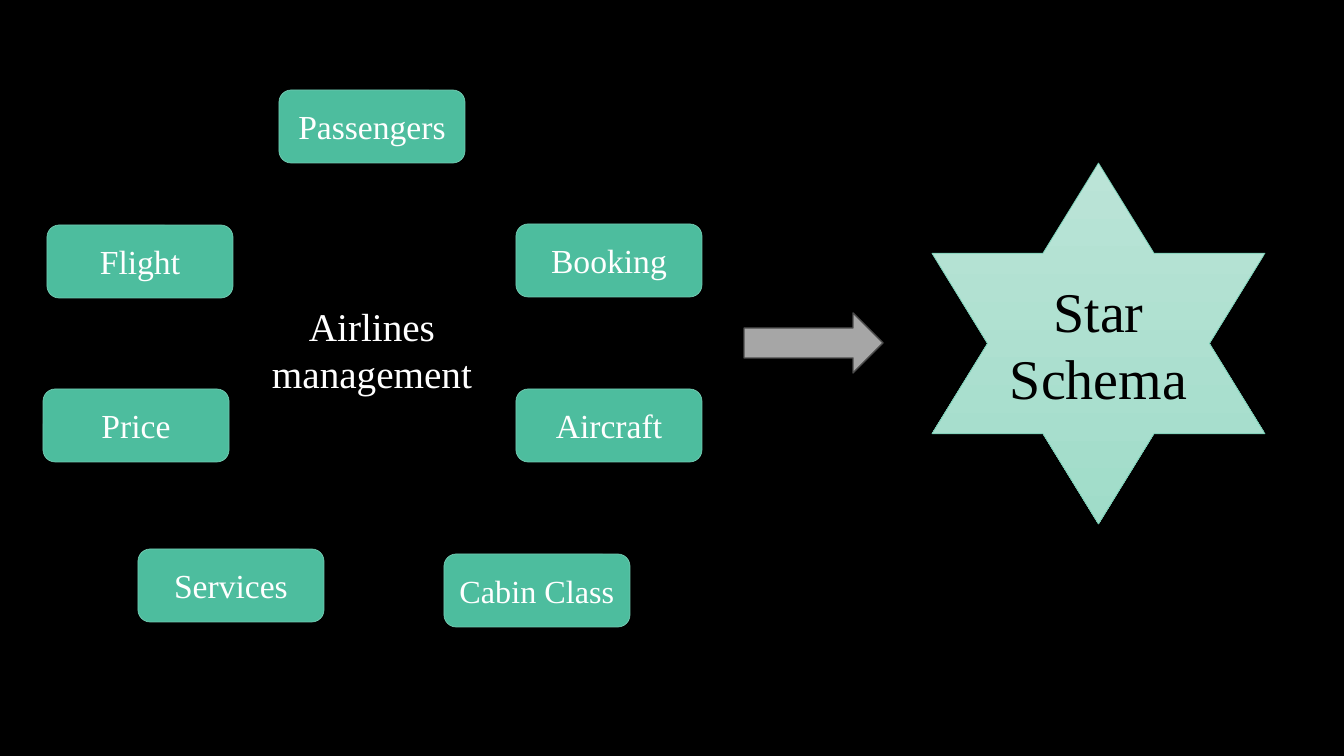
from pptx import Presentation
from pptx import util as u
from pptx.dml.color import RGBColor
from pptx.enum import shapes, text

PX = 914400 / 100.8
FONT = "Times New Roman"
COLORS = {
    "background": "000000",
    "white": "FFFFFF",
    "black": "000000",
    "entity": "4DBD9E",
    "edge": "73CBB2",
    "arrow": "A6A6A6",
    "arrow_edge": "4B4B4B",
    "star_top": "BBE4D7",
    "star_bottom": "A0DCC9",
}
KIND = shapes.MSO_SHAPE


def rgb(name):
    return RGBColor.from_string(COLORS[name])


def write(shape, words, size, color, anchor):
    """Put centred, wrapping text into a shape."""
    frame = shape.text_frame
    frame.text = words
    frame.word_wrap = True
    frame.vertical_anchor = anchor
    paragraph = frame.paragraphs[0]
    paragraph.alignment = text.PP_ALIGN.CENTER
    font = paragraph.runs[0].font
    font.name = FONT
    font.size = u.Pt(size)
    font.color.rgb = rgb(color)


prs = Presentation()
prs.slide_width, prs.slide_height = round(1344 * PX), round(756 * PX)
slide = prs.slides.add_slide(prs.slide_layouts[6])
slide.background.fill.solid()
slide.background.fill.fore_color.rgb = rgb("background")

# Subject in the middle of the ring
subject = slide.shapes.add_textbox(*(round(n * PX) for n in (240, 297, 264, 105)))
write(subject, "Airlines management", 28, "white", text.MSO_ANCHOR.TOP)

# Entities, arrow and star: kind, box in px, fill, edge, edge width, words, size, text colour
ENTITY_W, ENTITY_H = 186, 73
entities = [
    ("Passengers", 279, 90, 24),
    ("Services", 138, 549, 24),
    ("Booking", 516, 224, 24),
    ("Aircraft", 516, 389, 24),
    ("Flight", 47, 225, 24),
    ("Price", 43, 389, 24),
    ("Cabin Class", 444, 554, 23),
]
parts = [
    (KIND.ROUNDED_RECTANGLE, (left, top, ENTITY_W, ENTITY_H), "entity", "edge", 0.5, words, size, "white")
    for words, left, top, size in entities
]
parts += [
    (KIND.RIGHT_ARROW, (744, 313, 139, 60), "arrow", "arrow_edge", 1, "", 0, ""),
    (KIND.STAR_6_POINT, (932, 163, 333, 361), "star", "edge", 0.5, "Star Schema", 40, "black"),
]

for kind, box, fill, edge, edge_width, words, size, color in parts:
    part = slide.shapes.add_shape(kind, *(round(n * PX) for n in box))
    part.shadow.inherit = False
    part.line.color.rgb = rgb(edge)
    part.line.width = u.Pt(edge_width)
    if fill == "star":
        part.fill.gradient()
        part.fill.gradient_angle = 270
        for stop, shade in zip(part.fill.gradient_stops, ("star_top", "star_bottom")):
            stop.color.rgb = rgb(shade)
    else:
        part.fill.solid()
        part.fill.fore_color.rgb = rgb(fill)
    if words:
        write(part, words, size, color, text.MSO_ANCHOR.MIDDLE)

prs.save("out.pptx")
